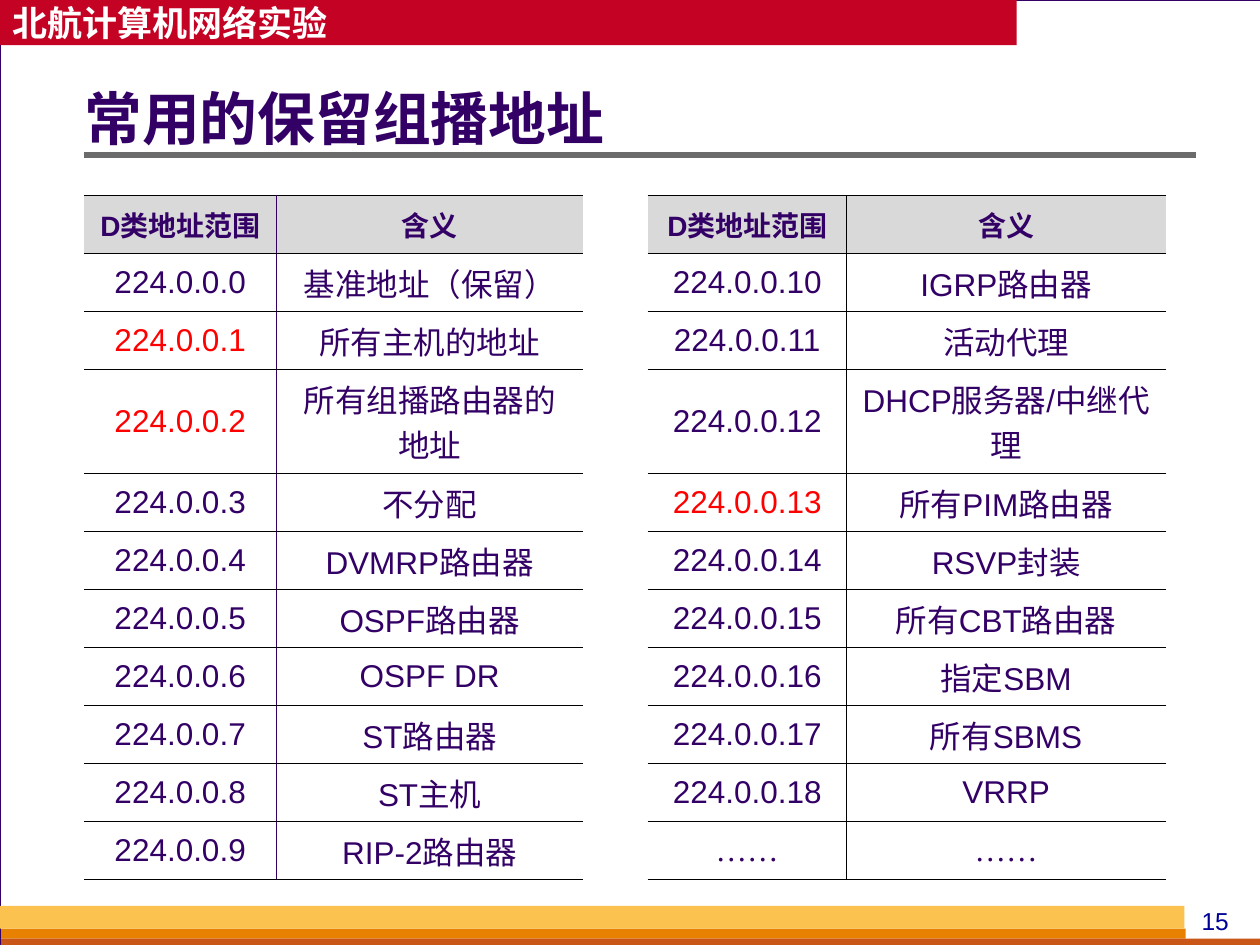
from lxml import etree
from pptx import Presentation
from pptx.dml.color import RGBColor
from pptx.enum.shapes import MSO_CONNECTOR, MSO_SHAPE
from pptx.enum.text import MSO_ANCHOR, PP_ALIGN
from pptx.oxml.ns import qn
from pptx.util import Inches, Pt

RECTANGLE = MSO_SHAPE.RECTANGLE
STRAIGHT = MSO_CONNECTOR.STRAIGHT
TOP, MIDDLE = MSO_ANCHOR.TOP, MSO_ANCHOR.MIDDLE
LEFT, CENTER = PP_ALIGN.LEFT, PP_ALIGN.CENTER

CHINESE, LATIN, SERIF = "Noto Sans CJK SC", "Arial", "Times New Roman"
PURPLE, RED, BLACK, WHITE = "330066", "FF0000", "000000", "FFFFFF"


def color(value):
    return RGBColor.from_string(value)


def write(frame, text, align, ink, east_asian, **formats):
    """Put one formatted line of text into a frame."""
    para = frame.paragraphs[0]
    para.alignment = align
    span = para.add_run()
    span.text = text
    for name, value in formats.items():
        setattr(span.font, name, value)
    span.font.color.rgb = color(ink)
    etree.SubElement(span.font._element, qn("a:ea"), typeface=east_asian)


deck = Presentation()
deck.slide_width, deck.slide_height = Inches(10), Inches(7.5)
page = deck.slides.add_slide(deck.slide_layouts[6])
page.background.fill.solid()
page.background.fill.fore_color.rgb = color("D8DADA")

# Page panel, header band and footer bands
bands = [
    (0, 0, 10.01, 7.5, WHITE),
    (0, 0, 8.07, 0.36, "C30224"),
    (0.01, 7.37, 9.4, 0.08, "E88000"),
    (0.01, 7.45, 10, 0.08, "C95616"),
    (0, 7.19, 9.4, 0.18, "FCC24F"),
]
shapes = []
for *place, fill in bands:
    band = page.shapes.add_shape(RECTANGLE, *map(Inches, place))
    band.shadow.inherit = False
    band.fill.solid()
    band.fill.fore_color.rgb = color(fill)
    band.line.fill.background()
    shapes.append(band)
panel, header = shapes[:2]
panel.line.color.rgb = color(PURPLE)
panel.line.width = Pt(0.75)

header.text_frame.word_wrap = False
header.text_frame.vertical_anchor = MIDDLE
write(header.text_frame, "北航计算机网络实验", LEFT, WHITE, CHINESE,
      name=CHINESE, size=Pt(20), bold=True)

# Page number
number = page.shapes.add_textbox(Inches(9.33), Inches(7.14), Inches(0.63), Inches(0.34))
number.text_frame.word_wrap = True
number.text_frame.vertical_anchor = TOP
write(number.text_frame, "15", CENTER, "000099", CHINESE, name=LATIN, size=Pt(14))
number.text_frame.paragraphs[0].space_before = Pt(0)

# Title and its rule
rule = page.shapes.add_connector(STRAIGHT, Inches(0.67), Inches(1.23), Inches(9.49), Inches(1.23))
rule.line.color.rgb = color("6B6B6B")
rule.line.width = Pt(3)
etree.SubElement(rule._element.spPr, qn("a:effectLst"))

title = page.shapes.add_textbox(Inches(0.67), Inches(0.46), Inches(8.82), Inches(1.01))
title.text_frame.word_wrap = True
title.text_frame.vertical_anchor = MIDDLE
title.text_frame.margin_left = 0
write(title.text_frame, "常用的保留组播地址", LEFT, PURPLE, CHINESE,
      name=CHINESE, size=Pt(33), bold=True)
title.text_frame.paragraphs[0].line_spacing = 0.9

# Address tables: left, column widths, divider colour, first address, meanings
tables = [
    (0.67, (1.52, 2.44), PURPLE, 0,
     ["基准地址（保留）", "所有主机的地址", "所有组播路由器的地址", "不分配", "DVMRP路由器",
      "OSPF路由器", "OSPF DR", "ST路由器", "ST主机", "RIP-2路由器"]),
    (5.14, (1.58, 2.53), BLACK, 10,
     ["IGRP路由器", "活动代理", "DHCP服务器/中继代理", "所有PIM路由器", "RSVP封装",
      "所有CBT路由器", "指定SBM", "所有SBMS", "VRRP", "……"]),
]
highlighted = {"224.0.0.1", "224.0.0.2", "224.0.0.13"}
row_heights = [0.46] * 3 + [0.83] + [0.46] * 7  # the tall row holds two lines

for left, widths, divider, first, meanings in tables:
    rows = [("D类地址范围", "含义")]
    for offset, meaning in enumerate(meanings):
        address = meaning if meaning == "……" else f"224.0.0.{first + offset}"
        rows.append((address, meaning))

    grid = page.shapes.add_table(len(rows), 2, Inches(left), Inches(1.55),
                                 Inches(sum(widths)), Inches(sum(row_heights))).table
    grid.first_row = grid.horz_banding = False
    for column, width in zip(grid.columns, widths):
        column.width = Inches(width)
    for row, height in zip(grid.rows, row_heights):
        row.height = Inches(height)

    for row_index, texts in enumerate(rows):
        heading = row_index == 0
        for column_index, text in enumerate(texts):
            cell = grid.cell(row_index, column_index)
            cell.vertical_anchor = MIDDLE

            # Horizontal rules and one divider, open at the outer sides
            borders = {"L": divider if column_index == 1 else None,
                       "R": divider if column_index == 0 else None,
                       "T": BLACK, "B": BLACK}
            properties = cell._tc.get_or_add_tcPr()
            for side, ink in borders.items():
                edge = etree.SubElement(properties, qn(f"a:ln{side}"), w=str(Pt(0.45)))
                if ink is None:
                    etree.SubElement(edge, qn("a:noFill"))
                else:
                    paint = etree.SubElement(edge, qn("a:solidFill"))
                    etree.SubElement(paint, qn("a:srgbClr"), val=ink)

            if heading:
                # Narrow side margins keep the heading on one line
                cell.margin_left = cell.margin_right = Inches(0.05)
                cell.fill.solid()
                cell.fill.fore_color.rgb = color("D9D9D9")
            else:
                cell.fill.background()

            dots = text == "……"
            write(cell.text_frame, text, CENTER, RED if text in highlighted else PURPLE,
                  SERIF if dots else CHINESE, name=SERIF if dots else LATIN,
                  size=Pt(16 if heading else 18), bold=heading)

deck.save("out.pptx")
